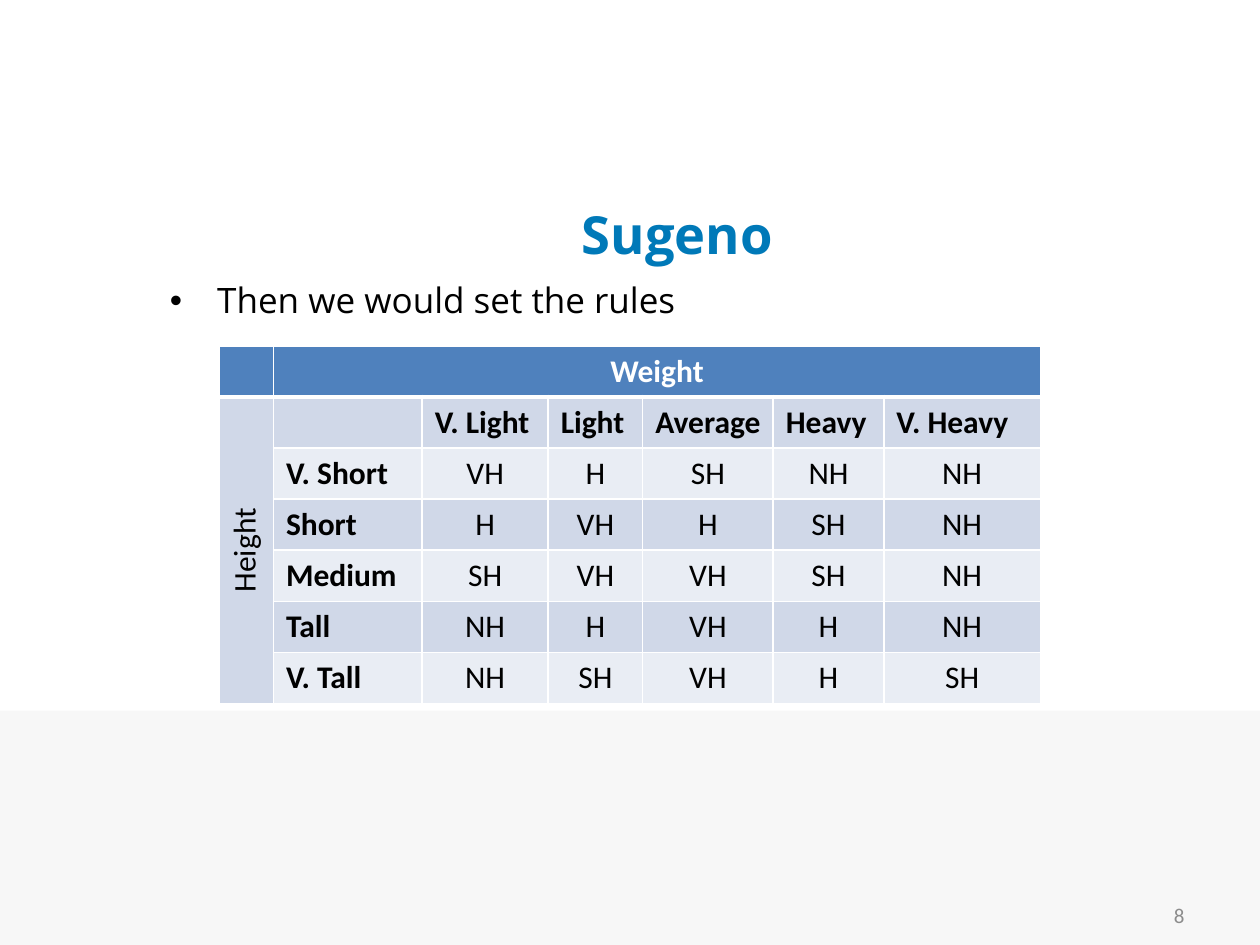
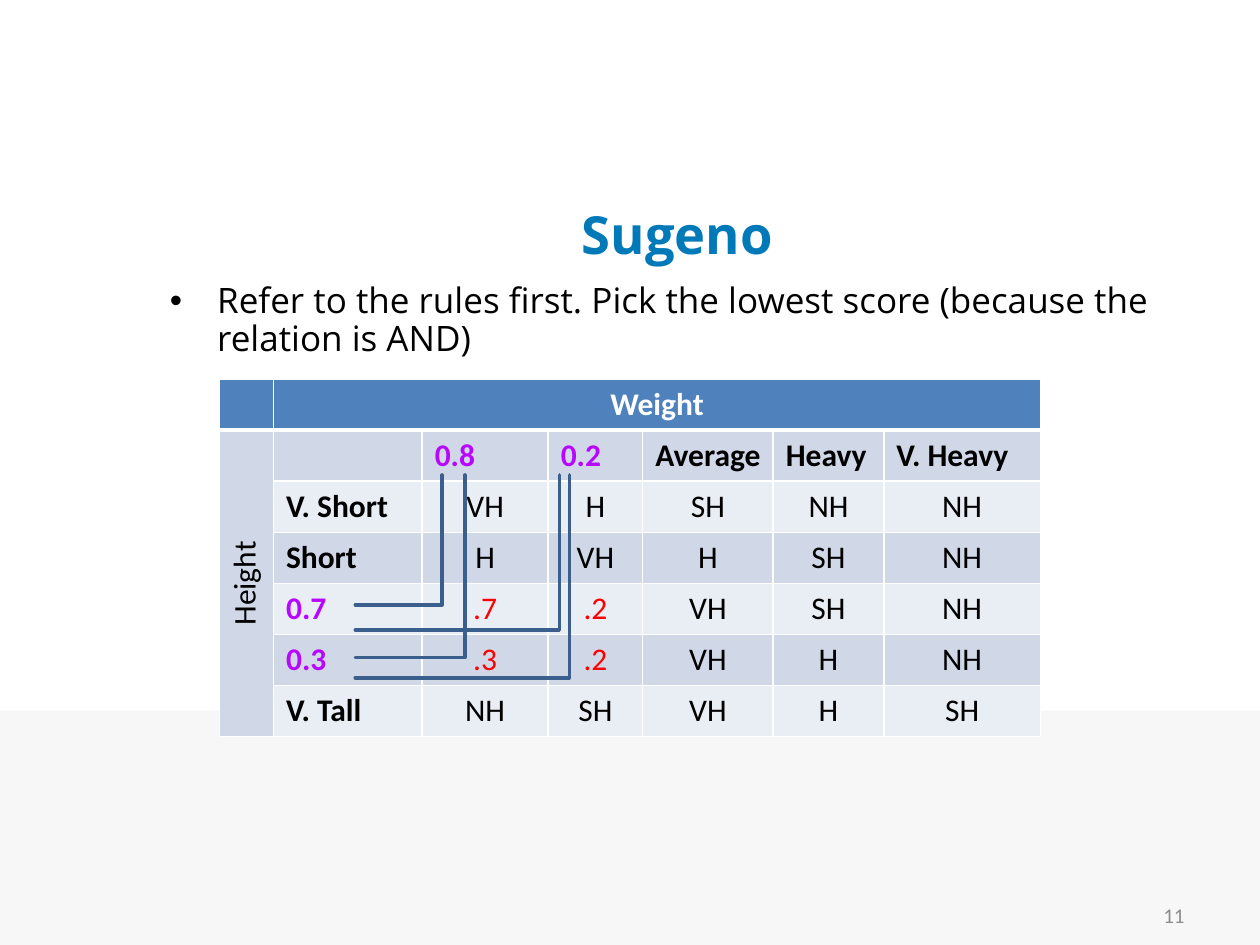
from lxml.etree import SubElement
from pptx import Presentation
from pptx.dml.color import RGBColor
from pptx.enum.shapes import MSO_SHAPE
from pptx.enum.text import MSO_ANCHOR, PP_ALIGN
from pptx.oxml.ns import qn
from pptx.util import Pt

WHITE = RGBColor(0xFF, 0xFF, 0xFF)
BLACK = RGBColor(0x00, 0x00, 0x00)
BAND = RGBColor(0xF7, 0xF7, 0xF7)
TITLE = RGBColor(0x00, 0x79, 0xB8)
GREY = RGBColor(0x8C, 0x8C, 0x8C)
HEADER = RGBColor(0x4F, 0x81, 0xBD)
ROW_DARK = RGBColor(0xD0, 0xD8, 0xE8)
ROW_LIGHT = RGBColor(0xE9, 0xED, 0xF4)
LINE = RGBColor(0x3A, 0x5F, 0x8C)
PURPLE = RGBColor(0xB8, 0x07, 0xFF)
RED = RGBColor(0xFF, 0x00, 0x00)

COL_WIDTHS = [31, 85, 72, 54, 74.6, 63.2, 89.6]
ROW_HEIGHT = 29.2
TABLE_LEFT = 125.3

# Rule table: weight across, height down
RULES = [
    ["", "V. Light", "Light", "Average", "Heavy", "V. Heavy"],
    ["V. Short", "VH", "H", "SH", "NH", "NH"],
    ["Short", "H", "VH", "H", "SH", "NH"],
    ["Medium", "SH", "VH", "VH", "SH", "NH"],
    ["Tall", "NH", "H", "VH", "H", "NH"],
    ["V. Tall", "NH", "SH", "VH", "H", "SH"],
]
# Scores that replace labels and results, keyed by (row, column) in RULES
SCORES = {
    (0, 1): "0.8", (0, 2): "0.2",
    (3, 0): "0.7", (3, 1): ".7", (3, 2): ".2",
    (4, 0): "0.3", (4, 1): ".3", (4, 2): ".2",
}
# Width and height of the brackets joining a height score to a weight score
BRACKETS = [(49.7, 74.2), (62.6, 104.4), (116.6, 88.6), (122.4, 115.9)]

SLIDES = [
    (8, "Then we would set the rules", 197.6, {}, []),
    (11, "Refer to the rules first. Pick the lowest score "
         "(because the relation is AND)", 216.6, SCORES, BRACKETS),
]


def write(tf, text, size, color, font="Calibri", bold=False, align=PP_ALIGN.LEFT):
    p = tf.paragraphs[0]
    p.alignment = align
    r = p.add_run()
    r.text = text
    r.font.size, r.font.name, r.font.bold = Pt(size), font, bold
    r.font.color.rgb = color
    return p


def add_text(s, left, top, width, height, anchor, *args, **kwargs):
    tf = s.shapes.add_textbox(Pt(left), Pt(top), Pt(width), Pt(height)).text_frame
    tf.word_wrap = True
    tf.vertical_anchor = anchor
    return write(tf, *args, **kwargs)


prs = Presentation()
prs.slide_width, prs.slide_height = Pt(720), Pt(540)

for number, bullet, table_top, scores, brackets in SLIDES:
    s = prs.slides.add_slide(prs.slide_layouts[6])

    # Bottom band, title and page number
    sp = s.shapes.add_shape(MSO_SHAPE.RECTANGLE, 0, Pt(406.1), Pt(720), Pt(133.9))
    sp.shadow.inherit = False
    sp.fill.solid()
    sp.fill.fore_color.rgb = BAND
    sp.line.fill.background()
    add_text(s, 90, 108, 594, 50.4, MSO_ANCHOR.MIDDLE, "Sugeno", 30, TITLE,
             "Open Sans", bold=True, align=PP_ALIGN.CENTER)
    add_text(s, 516, 508.5, 168, 28.8, MSO_ANCHOR.MIDDLE, str(number), 12, GREY,
             align=PP_ALIGN.RIGHT)

    # Bullet
    p = add_text(s, 90, 158.4, 599, 351.4, MSO_ANCHOR.TOP, bullet, 20, BLACK, "Open Sans")
    p.line_spacing = 0.9
    p.space_before = Pt(4)
    pPr = p._p.get_or_add_pPr()
    pPr.set("marL", str(Pt(27)))
    pPr.set("indent", str(-Pt(27)))
    SubElement(pPr, qn("a:buFont"), typeface="Arial")
    SubElement(pPr, qn("a:buChar"), char="•")

    # Table frame and merged headings
    table = s.shapes.add_table(7, 7, Pt(TABLE_LEFT), Pt(table_top),
                               Pt(sum(COL_WIDTHS)), Pt(7 * ROW_HEIGHT)).table
    for col, width in zip(table.columns, COL_WIDTHS):
        col.width = Pt(width)
    for row in table.rows:
        row.height = Pt(ROW_HEIGHT)
    table.cell(0, 1).merge(table.cell(0, 6))
    table.cell(1, 0).merge(table.cell(6, 0))
    write(table.cell(0, 1).text_frame, "Weight", 18, WHITE, bold=True,
          align=PP_ALIGN.CENTER)
    height_cell = table.cell(1, 0)
    write(height_cell.text_frame, "Height", 18, BLACK, align=PP_ALIGN.CENTER)
    height_cell.vertical_anchor = MSO_ANCHOR.MIDDLE
    height_cell._tc.get_or_add_tcPr().set("vert", "vert270")

    # Cell borders and fills, with a thick rule under the header
    for i in range(7):
        for j in range(7):
            cell = table.cell(i, j)
            tcPr = cell._tc.get_or_add_tcPr()
            for side in ("L", "R", "T", "B"):
                thick = (i, side) in ((0, "B"), (1, "T"))
                ln = SubElement(tcPr, qn("a:ln" + side), w=str(Pt(3 if thick else 1)))
                fill = SubElement(ln, qn("a:solidFill"))
                SubElement(fill, qn("a:srgbClr"), val=str(WHITE))
            cell.fill.solid()
            if i == 0:
                cell.fill.fore_color.rgb = HEADER
            else:
                cell.fill.fore_color.rgb = ROW_DARK if i % 2 or j == 0 else ROW_LIGHT

    # Labels and results
    for i, rule in enumerate(RULES):
        for j, text in enumerate(rule):
            label = i == 0 or j == 0
            color = BLACK
            if (i, j) in scores:
                text = scores[i, j]
                color = PURPLE if label else RED
            write(table.cell(i + 1, j + 1).text_frame, text, 18, color, bold=label,
                  align=PP_ALIGN.LEFT if label else PP_ALIGN.CENTER)

    # Brackets from height scores to weight scores
    for width, height in brackets:
        sp = s.shapes.add_shape(MSO_SHAPE.HALF_FRAME, Pt(203), Pt(271.4),
                                Pt(width), Pt(height))
        sp.rotation = 180
        sp.adjustments[0] = sp.adjustments[1] = 0
        sp.shadow.inherit = False
        sp.fill.solid()
        sp.fill.fore_color.rgb = HEADER
        sp.line.color.rgb = LINE
        sp.line.width = Pt(2)

prs.save("out.pptx")
